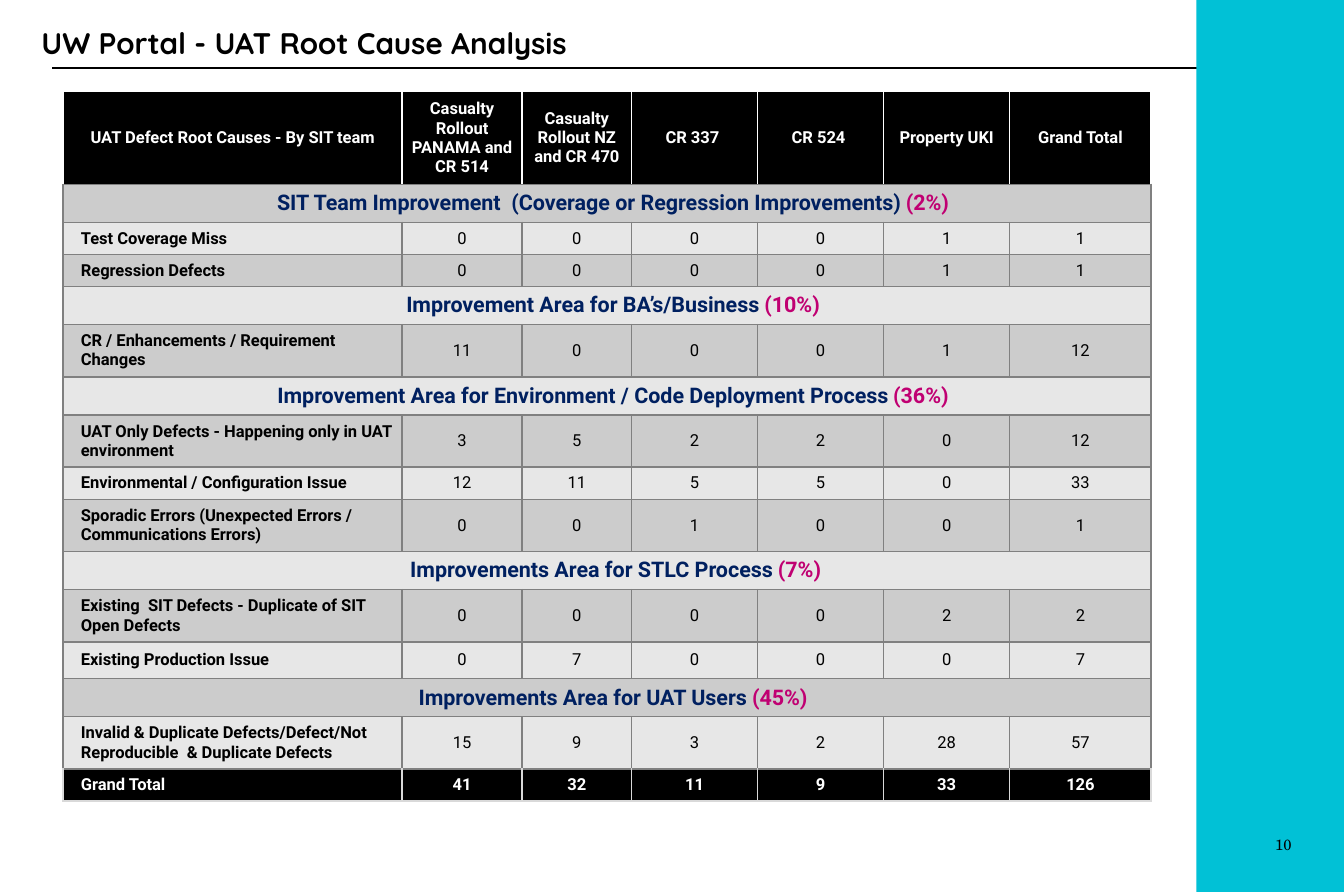
from dataclasses import dataclass

from lxml.etree import SubElement
from pptx import Presentation
from pptx.dml.color import RGBColor
from pptx.enum.shapes import MSO_CONNECTOR, MSO_SHAPE
from pptx.enum.text import MSO_ANCHOR, PP_ALIGN
from pptx.oxml import parse_xml
from pptx.oxml.ns import nsdecls, qn
from pptx.util import Inches, Pt


@dataclass(frozen=True)
class Theme:
    """Colours, fonts and type sizes of the slide."""
    black: str = "000000"
    white: str = "FFFFFF"
    accent: str = "01C1D6"
    navy: str = "002060"
    magenta: str = "C00072"
    bands: tuple = ("E7E7E7", "CCCCCC")
    grid: str = "808080"
    total_grid: str = "D9D9D9"
    title_font: str = "Quicksand"
    table_font: str = "Roboto"
    number_font: str = "TeX Gyre Schola"
    title_size: int = 18
    section_size: int = 13
    body_size: int = 10
    number_size: int = 9


HEADERS = ["UAT Defect Root Causes - By SIT team", "Casualty Rollout PANAMA and CR 514",
           "Casualty Rollout NZ and CR 470", "CR 337 ", "CR 524 ", "Property UKI", "Grand Total"]
COL_WIDTHS = [2.85, 1.01, 0.92, 1.06, 1.06, 1.06, 1.19]
HEADER_HEIGHT, SECTION_HEIGHT, ONE_LINE, TWO_LINES = 0.78, 0.32, 0.27, 0.44
SECTIONS = [
    ("SIT Team Improvement  (Coverage or Regression Improvements) ", "(2%)", [
        ("Test Coverage Miss", [0, 0, 0, 0, 1], ONE_LINE),
        ("Regression Defects", [0, 0, 0, 0, 1], ONE_LINE)]),
    ("Improvement Area for BA’s/Business ", "(10%)", [
        ("CR / Enhancements / Requirement Changes", [11, 0, 0, 0, 1], TWO_LINES)]),
    ("Improvement Area for Environment / Code Deployment Process ", "(36%)", [
        ("UAT Only Defects - Happening only in UAT environment", [3, 5, 2, 2, 0], TWO_LINES),
        ("Environmental / Configuration Issue", [12, 11, 5, 5, 0], ONE_LINE),
        ("Sporadic Errors (Unexpected Errors / Communications Errors)", [0, 0, 1, 0, 0], TWO_LINES)]),
    (" Improvements Area for STLC Process ", "(7%)", [
        ("Existing  SIT Defects - Duplicate of SIT Open Defects", [0, 0, 0, 0, 2], TWO_LINES),
        ("Existing Production Issue", [0, 7, 0, 0, 0], 0.31)]),
    ("Improvements Area for UAT Users ", "(45%)", [
        ("Invalid & Duplicate Defects/Defect/Not Reproducible  & Duplicate Defects",
         [15, 9, 3, 2, 28], TWO_LINES)]),
]


def rgb(color):
    """Turn a hex string into a colour."""
    return RGBColor.from_string(color)


class SlideBuilder:
    """Draws styled elements on the current slide."""

    def __init__(self, s, theme):
        self.s, self.theme = s, theme

    def style(self, p, font, size, color, bold=False, align=PP_ALIGN.LEFT):
        """Set the look of a paragraph."""
        p.alignment = align
        p.font.name, p.font.size, p.font.bold = font, Pt(size), bold
        p.font.color.rgb = rgb(color)

    def line(self, x1, y1, x2, y2, color):
        """Draw a straight line one point wide."""
        c = self.s.shapes.add_connector(MSO_CONNECTOR.STRAIGHT, *map(Inches, (x1, y1, x2, y2)))
        c.line.color.rgb, c.line.width = rgb(color), Pt(1)
        SubElement(c._element.spPr, qn("a:effectLst"))

    def rect(self, x, y, w, h, color):
        """Draw a plain filled rectangle."""
        sp = self.s.shapes.add_shape(MSO_SHAPE.RECTANGLE, *map(Inches, (x, y, w, h)))
        sp.shadow.inherit = False
        sp.fill.solid()
        sp.fill.fore_color.rgb = rgb(color)
        sp.line.fill.background()
        return sp

    def page_number(self, x, y, w, h, text):
        """Draw the page number, right-aligned in its box."""
        t = self.theme
        tf = self.rect(x, y, w, h, t.accent).text_frame
        tf.margin_left = tf.margin_right = tf.margin_top = tf.margin_bottom = 0
        tf.vertical_anchor = MSO_ANCHOR.MIDDLE
        tf.text = text
        self.style(tf.paragraphs[0], t.number_font, t.number_size, t.black, align=PP_ALIGN.RIGHT)

    def title(self, x, y, w, h, text):
        """Draw the slide title."""
        t = self.theme
        tf = self.s.shapes.add_textbox(*map(Inches, (x, y, w, h))).text_frame
        tf.word_wrap, tf.vertical_anchor = True, MSO_ANCHOR.MIDDLE
        tf.text = text
        self.style(tf.paragraphs[0], t.title_font, t.title_size, t.black, True)

    def borders(self, cell, left, right, top, bottom):
        """Give the four sides of a cell one-point lines."""
        tcPr = cell._tc.get_or_add_tcPr()
        for i, (side, color) in enumerate(zip("LRTB", (left, right, top, bottom))):
            tcPr.insert(i, parse_xml(
                f'<a:ln{side} {nsdecls("a")} w="12700"><a:solidFill>'
                f'<a:srgbClr val="{color}"/></a:solidFill></a:ln{side}>'))

    def cell(self, cell, text, fill, color, bold, indent=False, align=PP_ALIGN.CENTER,
             size=None, sides=None):
        """Fill one table cell with styled text."""
        t = self.theme
        cell.fill.solid()
        cell.fill.fore_color.rgb = rgb(fill)
        cell.margin_left = Inches(0.15 if indent else 0.05)
        cell.margin_right = cell.margin_top = cell.margin_bottom = Inches(0.05)
        cell.vertical_anchor = MSO_ANCHOR.MIDDLE
        cell.text = text
        self.style(cell.text_frame.paragraphs[0], t.table_font, size or t.body_size,
                   color, bold, align)
        self.borders(cell, *(sides or [t.grid] * 4))

    def section_row(self, cells, name, share, fill):
        """Draw a merged heading row with its share in colour."""
        t = self.theme
        for cell in cells:
            self.cell(cell, "", fill, t.navy, True, True, size=t.section_size)
        cells[0].merge(cells[-1])
        p = cells[0].text_frame.paragraphs[0]
        p.add_run().text = name
        r = p.add_run()
        r.text = share
        r.font.color.rgb = rgb(t.magenta)
        for run, color in zip(p.runs, (t.navy, t.magenta)):
            run.font.name, run.font.size, run.font.bold = t.table_font, Pt(t.section_size), True
            run.font.color.rgb = rgb(color)

    def value_row(self, cells, label, values, fill, color, bold=False, sides=None):
        """Draw a label, its values and their sum."""
        self.cell(cells[0], label, fill, color, True, True, PP_ALIGN.LEFT, sides=sides)
        for cell, value in zip(cells[1:], values + [sum(values)]):
            self.cell(cell, str(value), fill, color, bold, sides=sides)

    def defect_table(self, x, y):
        """Draw the table of root causes."""
        t = self.theme
        heights = [HEADER_HEIGHT]
        for _, _, causes in SECTIONS:
            heights += [SECTION_HEIGHT] + [h for _, _, h in causes]
        heights.append(ONE_LINE)
        tbl = self.s.shapes.add_table(len(heights), len(COL_WIDTHS), Inches(x), Inches(y),
                                      Inches(sum(COL_WIDTHS)), Inches(sum(heights))).table
        tbl.first_row = tbl.horz_banding = False
        for col, w in zip(tbl.columns, COL_WIDTHS):
            col.width = Inches(w)
        for row, h in zip(tbl.rows, heights):
            row.height = Inches(h)
        rows = [list(row.cells) for row in tbl.rows]
        for cell, text in zip(rows[0], HEADERS):
            self.cell(cell, text, t.black, t.white, True, sides=[t.white] * 3 + [t.grid])
        i = 1
        for name, share, causes in SECTIONS:
            self.section_row(rows[i], name, share, t.bands[i % 2])
            for i, (label, values, _) in enumerate(causes, i + 1):
                self.value_row(rows[i], label, values, t.bands[i % 2], t.black)
            i += 1
        totals = [sum(col) for col in zip(*(v for _, _, causes in SECTIONS for _, v, _ in causes))]
        self.value_row(rows[-1], "Grand Total", totals, t.black, t.white, True,
                       [t.total_grid, t.total_grid, t.grid, t.total_grid])


def main():
    """Build and save the slide."""
    prs = Presentation()
    prs.slide_width, prs.slide_height = Inches(11.3), Inches(7.5)
    theme = Theme()
    b = SlideBuilder(prs.slides.add_slide(prs.slide_layouts[6]), theme)
    b.line(0.44, 0.57, 10.86, 0.57, theme.black)
    b.rect(10.06, 0, 1.24, 7.5, theme.accent)
    b.page_number(10.26, 7, 0.6, 0.2, "10")
    b.title(0.25, 0.15, 11.05, 0.42, "UW Portal - UAT Root Cause Analysis")
    b.defect_table(0.53, 0.77)
    prs.save("out.pptx")


if __name__ == "__main__":
    main()
